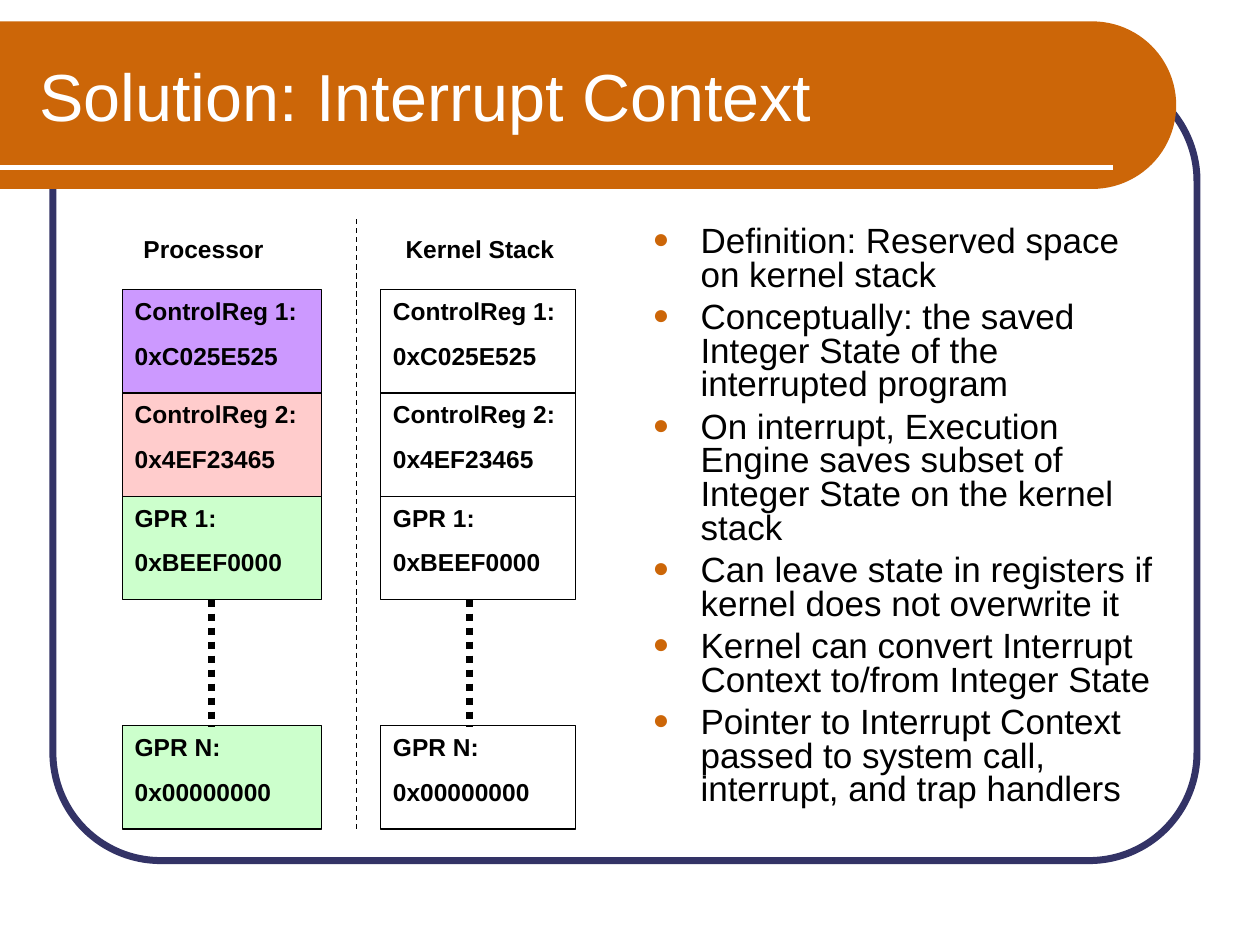
from math import cos, pi, sin

from lxml.etree import SubElement
from pptx import Presentation
from pptx.dml.color import RGBColor
from pptx.enum.dml import MSO_LINE as Dash
from pptx.enum.shapes import MSO_CONNECTOR as Connector, MSO_SHAPE as Shape
from pptx.enum.text import MSO_ANCHOR as Anchor, MSO_AUTO_SIZE as AutoSize, PP_ALIGN as Align
from pptx.oxml.ns import qn
from pptx.util import Inches, Pt

FONT = "Arial"
BLACK = RGBColor(0x00, 0x00, 0x00)
WHITE = RGBColor(0xFF, 0xFF, 0xFF)
NAVY = RGBColor(0x33, 0x33, 0x66)
ORANGE = RGBColor(0xCC, 0x66, 0x08)
PURPLE = RGBColor(0xCC, 0x99, 0xFF)
PINK = RGBColor(0xFF, 0xCC, 0xCC)
GREEN = RGBColor(0xCC, 0xFF, 0xCC)

ROW_TOP, ROW_HEIGHT, LAST_TOP = 2.3, 0.82, 5.76

# Register name, value, colour in the processor column
REGISTERS = [
    ("ControlReg 1:", "0xC025E525", PURPLE),
    ("ControlReg 2:", "0x4EF23465", PINK),
    ("GPR 1:", "0xBEEF0000", GREEN),
    ("GPR N:", "0x00000000", GREEN),
]

POINTS = [
    "Definition: Reserved space on kernel stack",
    "Conceptually: the saved Integer State of the interrupted program",
    "On interrupt, Execution Engine saves subset of Integer State on the kernel stack",
    "Can leave state in registers if kernel does not overwrite it",
    "Kernel can convert Interrupt Context to/from Integer State",
    "Pointer to Interrupt Context passed to system call, interrupt, and trap handlers",
]


def place(shape, left, top, width, height):
    shape.left, shape.top = Inches(left), Inches(top)
    shape.width, shape.height = Inches(width), Inches(height)


def add_run(para, text, size, color=BLACK, bold=False):
    span = para.add_run()
    span.text = text
    span.font.name, span.font.size, span.font.bold = FONT, Pt(size), bold
    span.font.color.rgb = color


def write_lines(frame, lines):
    """Bold left-aligned lines, one paragraph each."""
    frame.word_wrap = True
    frame.vertical_anchor = Anchor.TOP
    for index, line in enumerate(lines):
        para = frame.paragraphs[0] if index == 0 else frame.add_paragraph()
        para.alignment = Align.LEFT
        para.space_before = Pt(8.8)
        add_run(para, line, 14, bold=True)


def add_line(slide, start, end, color, weight, dash=None):
    line = slide.shapes.add_connector(Connector.STRAIGHT, *map(Inches, start + end))
    line.line.color.rgb, line.line.width = color, Pt(weight)
    if dash:
        line.line.dash_style = dash
    SubElement(line.element.spPr, qn("a:effectLst"))


def add_box(slide, kind, at, fill, line, weight):
    box = slide.shapes.add_shape(kind, *map(Inches, at))
    box.shadow.inherit = False
    if fill is None:
        box.fill.background()
    else:
        box.fill.solid()
        box.fill.fore_color.rgb = fill
    box.line.color.rgb, box.line.width = line, Pt(weight)
    return box


def add_banner(slide):
    """Title band with a half-round right end."""
    center_x, center_y, radius, steps = 8.67, 0.835, 0.665, 48
    angles = [pi * (step / steps - 0.5) for step in range(steps + 1)]
    arc = [(center_x + radius * cos(a), center_y + radius * sin(a)) for a in angles]
    builder = slide.shapes.build_freeform(0, Inches(0.17), scale=1.0)
    outline = arc + [(0, 1.5)]
    builder.add_line_segments([(Inches(x), Inches(y)) for x, y in outline], close=True)
    banner = builder.convert_to_shape()
    banner.shadow.inherit = False
    banner.fill.solid()
    banner.fill.fore_color.rgb = ORANGE
    banner.line.fill.background()


def add_background(slide):
    frame = add_box(slide, Shape.ROUNDED_RECTANGLE, (0.42, 0.58, 9.08, 6.25), None, NAVY, 4)
    frame.adjustments[0] = 0.137
    add_banner(slide)
    add_line(slide, (0, 1.33), (8.83, 1.33), WHITE, 3)


def add_title(slide, text):
    title = slide.shapes.title
    place(title, 0.21, 0.25, 8.77, 1)
    title.text_frame.auto_size = AutoSize.NONE
    title.text_frame.vertical_anchor = Anchor.MIDDLE
    para = title.text_frame.paragraphs[0]
    para.alignment = Align.LEFT
    add_run(para, text, 38, WHITE)
    slide.shapes.element.append(title.element)  # in front of the banner


def add_bullet(para):
    props = para._p.get_or_add_pPr()
    props.set("marL", str(Inches(0.38)))
    props.set("indent", str(-Inches(0.38)))
    color = SubElement(props, qn("a:buClr"))
    SubElement(color, qn("a:srgbClr"), val=str(ORANGE))
    SubElement(props, qn("a:buSzPct"), val="80000")
    SubElement(props, qn("a:buFont"), typeface=FONT)
    SubElement(props, qn("a:buChar"), char="●")


def add_points(slide):
    body = slide.placeholders[1]
    place(body, 5.08, 1.75, 4.25, 4.83)
    frame = body.text_frame
    frame.auto_size = AutoSize.NONE
    for index, point in enumerate(POINTS):
        para = frame.paragraphs[0] if index == 0 else frame.add_paragraph()
        para.line_spacing, para.space_before = 0.8, Pt(5)
        add_bullet(para)
        add_run(para, point, 20)
    slide.shapes.element.append(body.element)


def add_heading(slide, text, left, width):
    box = slide.shapes.add_textbox(*map(Inches, (left, 1.81, width, 0.34)))
    write_lines(box.text_frame, [text])


def add_registers(slide, left, width, dots_x, colored):
    """Three stacked registers, a dotted gap, and the last register."""
    tops = [ROW_TOP + row * ROW_HEIGHT for row in range(3)] + [LAST_TOP]
    for top, (name, value, color) in zip(tops, REGISTERS):
        fill = color if colored else None
        box = add_box(slide, Shape.RECTANGLE, (left, top, width, ROW_HEIGHT), fill, BLACK, 0.75)
        write_lines(box.text_frame, [name, value])
    add_line(slide, (dots_x, ROW_TOP + 3 * ROW_HEIGHT), (dots_x, LAST_TOP),
             BLACK, 4, Dash.ROUND_DOT)


def main():
    deck = Presentation()
    deck.slide_width, deck.slide_height = Inches(10), Inches(7.5)
    slide = deck.slides.add_slide(deck.slide_layouts[1])

    add_background(slide)
    add_title(slide, "Solution: Interrupt Context")
    add_points(slide)

    # Processor and kernel stack, side by side
    add_heading(slide, "Processor", 1.04, 1.31)
    add_registers(slide, 0.97, 1.58, 1.68, colored=True)
    add_line(slide, (2.83, 1.74), (2.83, 6.58), BLACK, 0.75, Dash.DASH)
    add_heading(slide, "Kernel Stack", 3.12, 1.75)
    add_registers(slide, 3.02, 1.55, 3.73, colored=False)

    deck.save("out.pptx")


if __name__ == "__main__":
    main()
